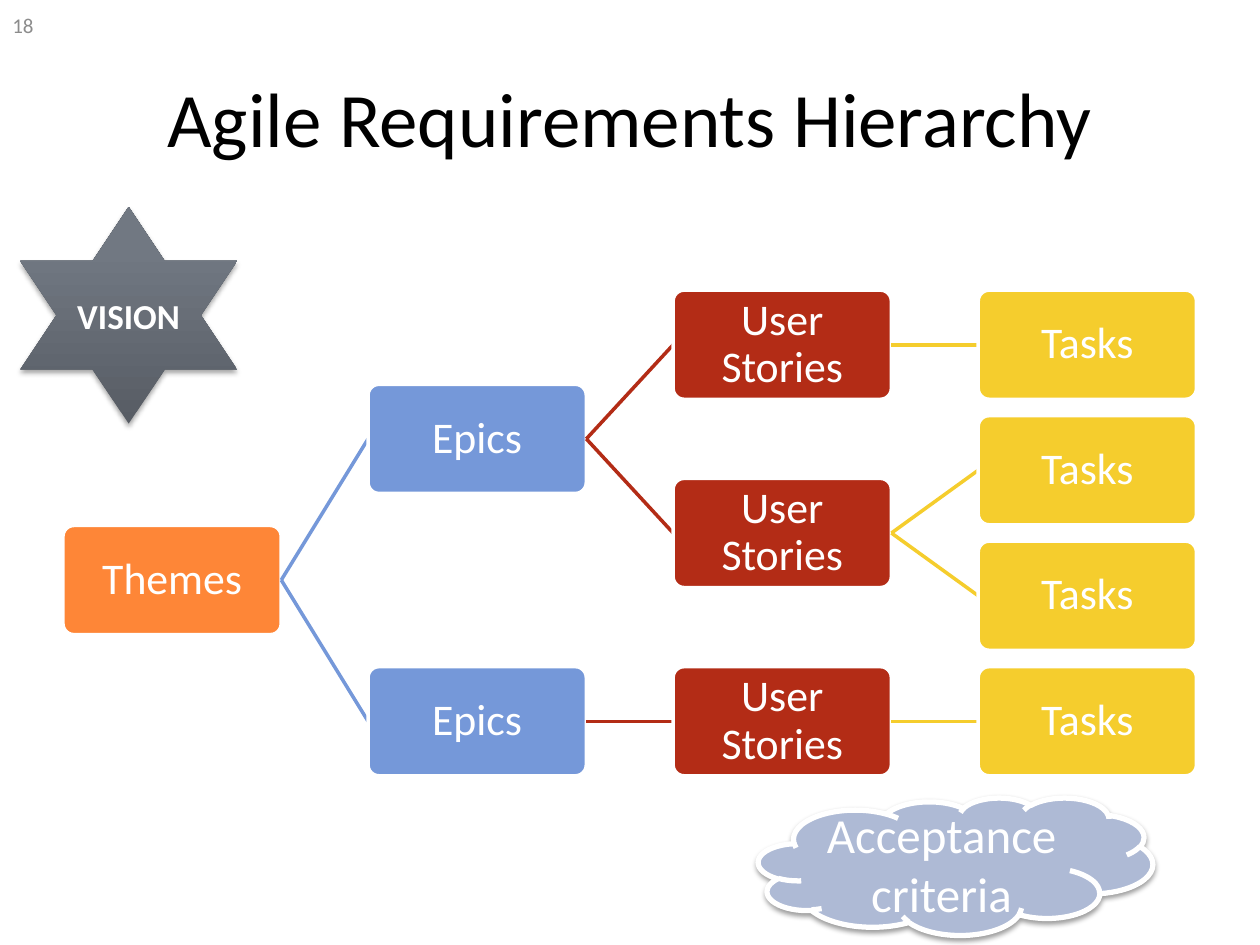
from lxml import etree
from pptx import Presentation
from pptx import util as u
from pptx.dml.color import RGBColor
from pptx.enum import shapes, text
from pptx.oxml.ns import qn

# Content: each node is (label, children)
TITLE = "Agile Requirements Hierarchy"
PAGE_NUMBER = "18"
TASK = ("Tasks", [])
TREE = ("Themes", [
    ("Epics", [
        ("User Stories", [TASK]),
        ("User Stories", [TASK, TASK]),
    ]),
    ("Epics", [("User Stories", [TASK])]),
])

THEME = {
    "font": "Calibri",
    "levels": ["FE8637", "7598D9", "B32C16", "F5CD2D"],
    "white": "FFFFFF", "black": "000000", "grey": "8C8C8C",
    "star": [(0, "575C64"), (0.8, "717882")],
    "cloud": "AEBAD5",
    "title": 44, "node": 25, "vision": 20, "criteria": 28, "number": 12,
}

# Tree grid, in centimetres
LEFT, TOP = 1.27, 5.85
BOX_WIDTH, BOX_HEIGHT = 4.4, 2.2
COLUMN_STEP, ROW_STEP = 6.15, 2.53

deck = Presentation()
deck.slide_width, deck.slide_height = u.Cm(25.4), u.Cm(19.05)
page = deck.slides.add_slide(deck.slide_layouts[6])


def color(name):
    return RGBColor.from_string(name)


def write(box, words, *, size, ink=THEME["white"], bold=False,
          align=text.PP_ALIGN.CENTER, spacing=None, inset=None):
    frame = box.text_frame
    frame.word_wrap = True
    frame.vertical_anchor = text.MSO_ANCHOR.MIDDLE
    if inset is not None:
        frame.margin_left = frame.margin_right = u.Cm(inset)
        frame.margin_top = frame.margin_bottom = u.Cm(inset)
    para = frame.paragraphs[0]
    para.alignment = align
    if spacing:
        para.line_spacing = spacing
    span = para.add_run()
    span.text = words
    span.font.name, span.font.size = THEME["font"], u.Pt(size)
    span.font.bold, span.font.color.rgb = bold, color(ink)


def add_label(left, top, width, height, words, **style):
    box = page.shapes.add_textbox(*map(u.Cm, (left, top, width, height)))
    write(box, words, **style)


def add_box(kind, left, top, width, height, fill=None, border=None, weight=2):
    box = page.shapes.add_shape(kind, *map(u.Cm, (left, top, width, height)))
    box.shadow.inherit = False
    if fill:
        box.fill.solid()
        box.fill.fore_color.rgb = color(fill)
    if border:
        box.line.color.rgb = color(border)
        box.line.width = u.Pt(weight)
    else:
        box.line.fill.background()
    return box


def cast_shadow(box, distance, opacity):
    effects = box._element.spPr.find(qn("a:effectLst"))
    shadow = etree.SubElement(effects, qn("a:outerShdw"), blurRad=str(u.Pt(3.1)),
                              dist=str(u.Pt(distance)), dir="5400000", rotWithShape="0")
    tint = etree.SubElement(shadow, qn("a:srgbClr"), val=THEME["black"])
    etree.SubElement(tint, qn("a:alpha"), val=str(opacity * 1000))


def place(node, first_row=0):
    """Give each leaf a row and centre each parent between its outer children."""
    label, children = node
    if not children:
        return {"label": label, "row": first_row, "children": []}, first_row + 1
    placed, row = [], first_row
    for child in children:
        branch, row = place(child, row)
        placed.append(branch)
    middle = (placed[0]["row"] + placed[-1]["row"]) / 2
    return {"label": label, "row": middle, "children": placed}, row


def draw(node, level=0, parent=None):
    left, top = LEFT + level * COLUMN_STEP, TOP + node["row"] * ROW_STEP
    tint = THEME["levels"][level]
    link = None
    if parent is not None:  # the link lies beneath the child's white border
        link = page.shapes.add_connector(
            shapes.MSO_CONNECTOR.STRAIGHT, 0, 0, u.Cm(left), u.Cm(top + BOX_HEIGHT / 2))
        link.begin_connect(parent, 3)
        link.line.color.rgb, link.line.width = color(tint), u.Pt(2)
        etree.SubElement(link._element.spPr, qn("a:effectLst"))
    box = add_box(shapes.MSO_SHAPE.ROUNDED_RECTANGLE, left, top,
                  BOX_WIDTH, BOX_HEIGHT, tint, THEME["white"])
    box.adjustments[0] = 0.1
    write(box, node["label"], size=THEME["node"], spacing=0.9, inset=0.05)
    if link is not None:
        link.end_connect(box, 1)
    for child in node["children"]:
        draw(child, level + 1, box)


# Title and hierarchy
add_label(1.27, 0.76, 22.86, 3.18, TITLE, size=THEME["title"], ink=THEME["black"])
draw(place(TREE)[0])

# Vision star
star = add_box(shapes.MSO_SHAPE.STAR_6_POINT, 0.41, 4.17, 4.37, 4.37)
star.fill.gradient()
star.fill.gradient_angle = 90
for stop, (position, tint) in zip(star.fill.gradient_stops, THEME["star"]):
    stop.position, stop.color.rgb = position, color(tint)
cast_shadow(star, 1.8, 35)
write(star, "VISION", size=THEME["vision"], bold=True)

# Acceptance cloud
cloud = add_box(shapes.MSO_SHAPE.CLOUD, 15.29, 16.08, 7.95, 2.77,
                THEME["cloud"], THEME["white"], 3)
cast_shadow(cloud, 1.6, 38)
write(cloud, "Acceptance criteria", size=THEME["criteria"])

# Page number
add_label(0, 0, 5.92, 1.02, PAGE_NUMBER, size=THEME["number"],
          ink=THEME["grey"], align=text.PP_ALIGN.LEFT)

deck.save("out.pptx")
